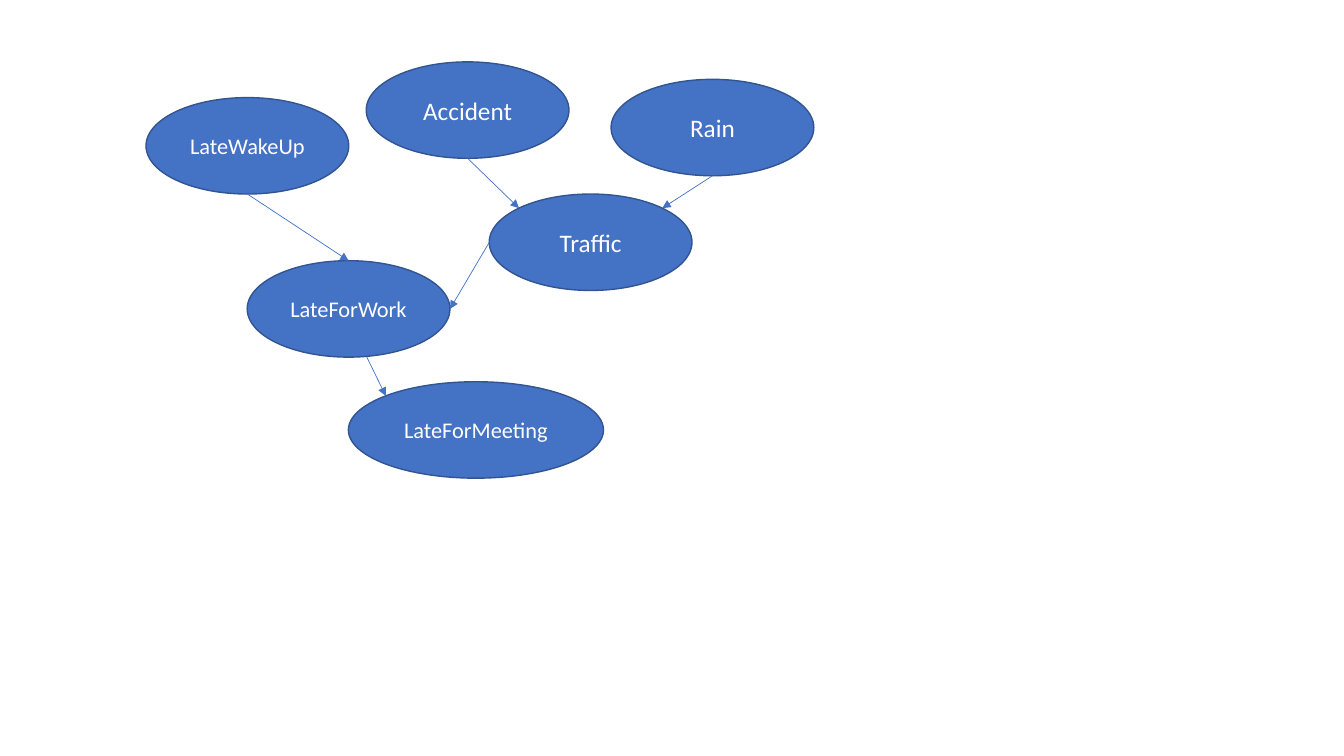
"""Build a slide with a causal network of reasons for being late."""
from dataclasses import dataclass
from math import cos, radians, sin

from lxml import etree
from pptx import Presentation
from pptx.dml.color import RGBColor
from pptx.enum.shapes import MSO_CONNECTOR, MSO_SHAPE
from pptx.enum.text import MSO_ANCHOR, PP_ALIGN
from pptx.oxml.ns import qn
from pptx.util import Cm, Pt

OVAL = MSO_SHAPE.OVAL
STRAIGHT = MSO_CONNECTOR.STRAIGHT
MIDDLE = MSO_ANCHOR.MIDDLE
CENTER = PP_ALIGN.CENTER


@dataclass(frozen=True)
class Theme:
    """Colours, font and sizes of the network."""
    fill: RGBColor = RGBColor(0x44, 0x72, 0xC4)
    outline: RGBColor = RGBColor(0x32, 0x54, 0x91)
    text: RGBColor = RGBColor(0xFF, 0xFF, 0xFF)
    font: str = "Calibri"
    large: int = 18
    small: int = 16
    outline_width: float = 1
    arrow_width: float = 0.5


THEME = Theme()
SLIDE_SIZE = (33.87, 19.05)
NODE_WIDTH, WIDE_NODE_WIDTH, NODE_HEIGHT = 5.11, 6.43, 2.43

NODES = {
    "LateWakeUp": (3.68, 2.46, NODE_WIDTH, THEME.small),
    "LateForMeeting": (8.78, 9.62, WIDE_NODE_WIDTH, THEME.small),
    "Accident": (9.23, 1.56, NODE_WIDTH, THEME.large),
    "Rain": (15.4, 2.0, NODE_WIDTH, THEME.large),
    "Traffic": (12.33, 4.89, NODE_WIDTH, THEME.large),
    "LateForWork": (6.23, 6.57, NODE_WIDTH, THEME.small),
}

TOP, TOP_LEFT, LEFT, BOTTOM, RIGHT, TOP_RIGHT = 0, 1, 2, 4, 6, 7
EDGES = [
    ("Accident", BOTTOM, "Traffic", TOP_LEFT, 0),
    ("Rain", BOTTOM, "Traffic", TOP_RIGHT, 0),
    ("Traffic", LEFT, "LateForWork", RIGHT, 0),
    ("LateWakeUp", BOTTOM, "LateForWork", TOP, 0),
    ("LateForWork", BOTTOM, "LateForMeeting", TOP_LEFT, 0.46),
]


def add_node(slide, label, left, top, width, size):
    """Add one labelled oval."""
    shape = slide.shapes.add_shape(OVAL, Cm(left), Cm(top), Cm(width), Cm(NODE_HEIGHT))
    shape.shadow.inherit = False
    shape.fill.solid()
    shape.fill.fore_color.rgb = THEME.fill
    shape.line.color.rgb = THEME.outline
    shape.line.width = Pt(THEME.outline_width)
    shape.text_frame.vertical_anchor = MIDDLE
    paragraph = shape.text_frame.paragraphs[0]
    paragraph.text = label
    paragraph.alignment = CENTER
    paragraph.font.name = THEME.font
    paragraph.font.size = Pt(size)
    paragraph.font.color.rgb = THEME.text
    return shape


def site_point(label, site):
    """Return the point of an oval's site, counted anticlockwise from the top."""
    left, top, width, _ = NODES[label]
    angle = radians(90 + 45 * site)
    return left + width / 2 * (1 + cos(angle)), top + NODE_HEIGHT / 2 * (1 - sin(angle))


def add_arrow(slide, shapes, source, source_site, target, target_site, shift):
    """Add an arrow between two ovals, attached wherever it meets a site."""
    start_x, start_y = site_point(source, source_site)
    end_x, end_y = site_point(target, target_site)
    connector = slide.shapes.add_connector(
        STRAIGHT, Cm(start_x + shift), Cm(start_y), Cm(end_x), Cm(end_y))
    connector.line.color.rgb = THEME.fill
    connector.line.width = Pt(THEME.arrow_width)
    properties = connector.element.find(qn("p:spPr"))
    etree.SubElement(properties.find(qn("a:ln")), qn("a:tailEnd"), type="triangle")
    etree.SubElement(properties, qn("a:effectLst"))
    links = next(connector.element.iter(qn("p:cNvCxnSpPr")))
    if not shift:
        etree.SubElement(links, qn("a:stCxn"), id=str(shapes[source].shape_id), idx=str(source_site))
    etree.SubElement(links, qn("a:endCxn"), id=str(shapes[target].shape_id), idx=str(target_site))


def main():
    """Lay out the network and save the presentation."""
    presentation = Presentation()
    presentation.slide_width, presentation.slide_height = map(Cm, SLIDE_SIZE)
    slide = presentation.slides.add_slide(presentation.slide_layouts[6])
    shapes = {label: add_node(slide, label, *place) for label, place in NODES.items()}
    for edge in EDGES:
        add_arrow(slide, shapes, *edge)
    presentation.save("out.pptx")


if __name__ == "__main__":
    main()
